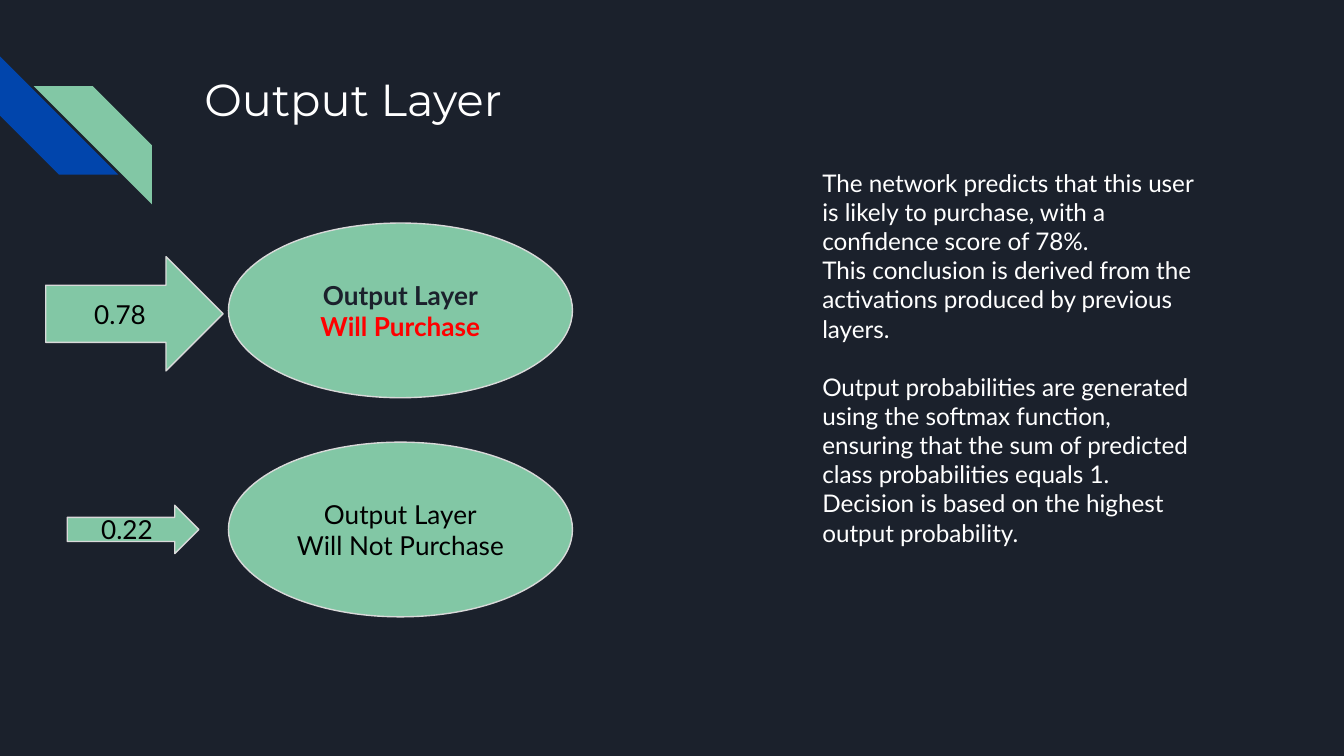
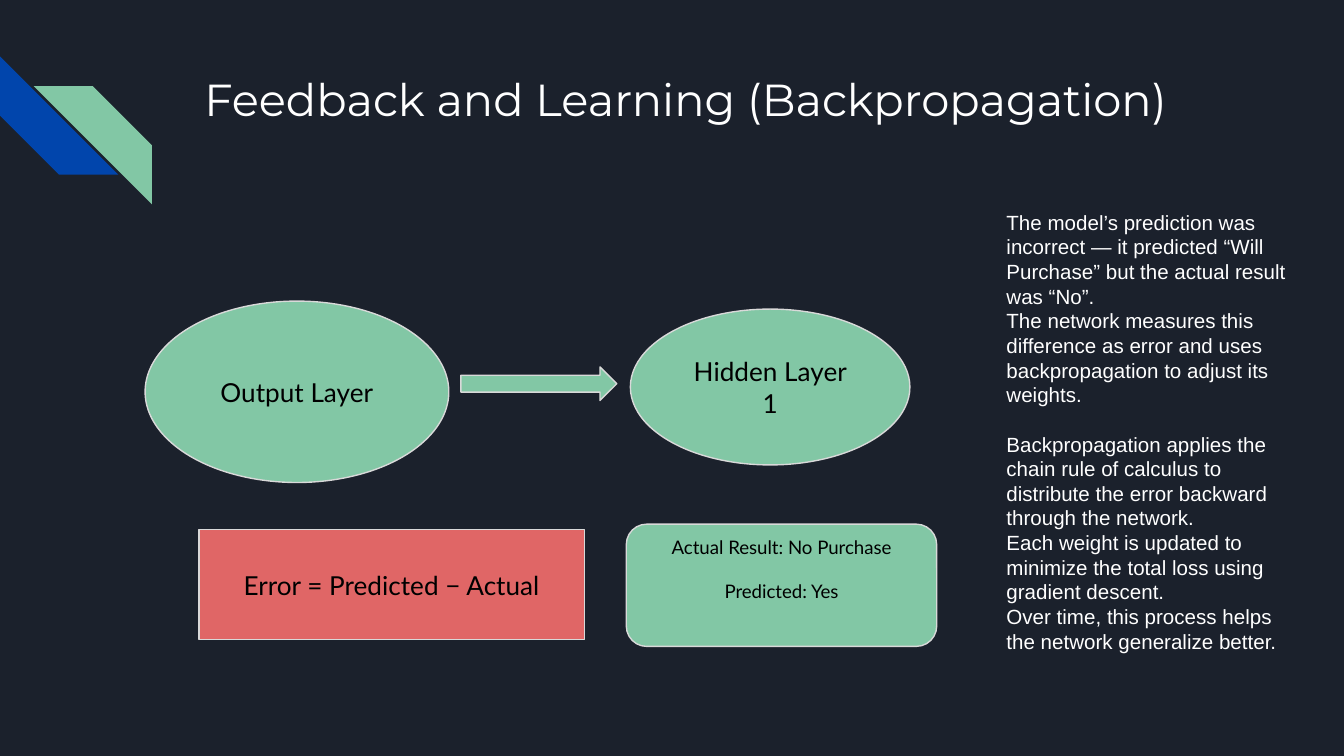
"""Build two slides on a network's output layer and its backpropagation."""
from dataclasses import dataclass

from pptx import Presentation
from pptx.dml.color import RGBColor
from pptx.enum.shapes import MSO_SHAPE
from pptx.enum.text import MSO_ANCHOR, MSO_AUTO_SIZE, PP_ALIGN
from pptx.presentation import Presentation as Deck
from pptx.slide import Slide
from pptx.text.text import TextFrame
from pptx.util import Inches, Pt

ELLIPSE = MSO_SHAPE.OVAL
ARROW = MSO_SHAPE.RIGHT_ARROW
RECTANGLE = MSO_SHAPE.RECTANGLE
ROUNDED = MSO_SHAPE.ROUNDED_RECTANGLE
STRIPE = MSO_SHAPE.DIAGONAL_STRIPE
TOP, MIDDLE = MSO_ANCHOR.TOP, MSO_ANCHOR.MIDDLE
LEFT, CENTER = PP_ALIGN.LEFT, PP_ALIGN.CENTER
NO_AUTOFIT = MSO_AUTO_SIZE.NONE
TITLE_ONLY = 5

COLORS = {
    "night": "1B212C",
    "blue": "0145AC",
    "green": "82C7A5",
    "coral": "E06666",
    "outline": "D9D9D9",
    "white": "FFFFFF",
    "black": "000000",
    "red": "FF0000",
}
BODY_FONT = "Lato"
TITLE_FONT = "Montserrat"
Box = tuple[float, float, float, float]


@dataclass(frozen=True)
class Line:
    """One paragraph with its own emphasis and the gap after it in points."""

    text: str
    color: str | None = None
    bold: bool = False
    gap: float = 0


@dataclass(frozen=True)
class Node:
    """One filled and outlined part of a diagram."""

    kind: MSO_SHAPE
    box: Box
    lines: tuple[Line, ...] = ()
    fill: str = "green"
    size: float = 14
    anchor: MSO_ANCHOR = MIDDLE
    top_inset: float = 0.1


@dataclass(frozen=True)
class Explanation:
    """The running text beside a diagram."""

    box: Box
    lines: tuple[Line, ...]
    size: float
    font: str = BODY_FONT


@dataclass(frozen=True)
class Page:
    """The content of one slide."""

    title: str
    nodes: tuple[Node, ...]
    explanation: Explanation


@dataclass(frozen=True)
class Stripe:
    """One diagonal stripe of the corner ornament."""

    box: Box
    color: str
    rotation: float


STRIPES = (
    Stripe((0, 0.42, 0.88, 0.88), "blue", 270),
    Stripe((0.25, 0.64, 0.88, 0.88), "green", 90),
)

PAGES = (
    Page(
        "Output Layer",
        (
            Node(ELLIPSE, (1.7, 1.66, 2.56, 1.3), (
                Line("Output Layer", "night", True),
                Line("Will Purchase", "red", True),
            )),
            Node(ELLIPSE, (1.7, 3.29, 2.56, 1.3), (
                Line("Output Layer"),
                Line("Will Not Purchase"),
            )),
            Node(ARROW, (0.34, 1.91, 1.32, 0.85), (Line("0.78"),)),
            Node(ARROW, (0.5, 3.76, 0.98, 0.36), (Line("0.22"),)),
        ),
        Explanation((6.02, 1.15, 3.09, 3.58), (
            Line("The network predicts that this user is likely to purchase, "
                 "with a confidence score of 78%."),
            Line("This conclusion is derived from the activations produced by "
                 "previous layers.", gap=15.6),
            Line("Output probabilities are generated using the softmax function,"),
            Line("ensuring that the sum of predicted class probabilities equals 1."),
            Line("Decision is based on the highest output probability."),
        ), 13),
    ),
    Page(
        "Feedback and Learning (Backpropagation)",
        (
            Node(ELLIPSE, (1.08, 2.24, 2.26, 1.35), (Line("Output Layer"),)),
            Node(ELLIPSE, (4.69, 2.3, 2.08, 1.16), (Line("Hidden Layer 1"),)),
            Node(ARROW, (3.43, 2.73, 1.16, 0.25)),
            Node(RECTANGLE, (1.48, 3.94, 2.87, 0.82),
                 (Line("Error = Predicted − Actual"),), "coral"),
            Node(ROUNDED, (4.66, 3.9, 2.31, 0.91), (
                Line("Actual Result: No Purchase", gap=12),
                Line("Predicted: Yes"),
            ), size=10, anchor=TOP, top_inset=0.04),
        ),
        Explanation((7.39, 1.46, 2.31, 3.83), (
            Line("The model’s prediction was incorrect — it predicted “Will "
                 "Purchase” but the actual result was “No”."),
            Line("The network measures this difference as error and uses "
                 "backpropagation to adjust its weights.", gap=13.2),
            Line("Backpropagation applies the chain rule of calculus to "
                 "distribute the error backward through the network."),
            Line("Each weight is updated to minimize the total loss using "
                 "gradient descent."),
            Line("Over time, this process helps the network generalize better."),
        ), 11, "Arial"),
    ),
)


def rgb(name: str) -> RGBColor:
    """Return the named colour."""
    return RGBColor.from_string(COLORS[name])


def inches(box: Box) -> list[Inches]:
    """Convert left, top, width and height to lengths."""
    return [Inches(value) for value in box]


def write_text(
    frame: TextFrame,
    lines: tuple[Line, ...],
    *,
    size: float,
    font: str = BODY_FONT,
    color: str = "white",
    align: PP_ALIGN = LEFT,
    anchor: MSO_ANCHOR = TOP,
    top_inset: float = 0.1,
) -> None:
    """Fill a text frame with formatted paragraphs."""
    frame.word_wrap = True
    frame.auto_size = NO_AUTOFIT
    frame.vertical_anchor = anchor
    frame.margin_left = frame.margin_right = frame.margin_bottom = Inches(0.1)
    frame.margin_top = Inches(top_inset)
    for index, line in enumerate(lines):
        paragraph = frame.add_paragraph() if index else frame.paragraphs[0]
        paragraph.alignment = align
        paragraph.line_spacing = 1.0
        paragraph.space_before = Pt(0)
        paragraph.space_after = Pt(line.gap)
        run = paragraph.add_run()
        run.text = line.text
        run.font.name = font
        run.font.size = Pt(size)
        run.font.bold = line.bold
        run.font.color.rgb = rgb(line.color or color)


def draw_stripe(slide: Slide, stripe: Stripe) -> None:
    """Draw one stripe of the corner ornament."""
    band = slide.shapes.add_shape(STRIPE, *inches(stripe.box))
    band.shadow.inherit = False
    band.rotation = stripe.rotation
    band.fill.solid()
    band.fill.fore_color.rgb = rgb(stripe.color)
    band.line.fill.background()


def draw_title(slide: Slide, text: str) -> None:
    """Place and format the slide title."""
    title = slide.shapes.title
    title.left, title.top, title.width, title.height = inches((1.42, 0.43, 7.7, 1))
    write_text(title.text_frame, (Line(text),), size=24, font=TITLE_FONT)


def draw_node(slide: Slide, node: Node) -> None:
    """Draw one diagram part with its label."""
    part = slide.shapes.add_shape(node.kind, *inches(node.box))
    part.shadow.inherit = False
    part.fill.solid()
    part.fill.fore_color.rgb = rgb(node.fill)
    part.line.color.rgb = rgb("outline")
    part.line.width = Pt(0.75)
    write_text(part.text_frame, node.lines, size=node.size, color="black",
               align=CENTER, anchor=node.anchor, top_inset=node.top_inset)


def draw_explanation(slide: Slide, explanation: Explanation) -> None:
    """Write the running text beside the diagram."""
    column = slide.shapes.add_textbox(*inches(explanation.box))
    write_text(column.text_frame, explanation.lines, size=explanation.size,
               font=explanation.font)


def add_page(deck: Deck, page: Page) -> None:
    """Add one slide with its ornament, title, diagram and text."""
    slide = deck.slides.add_slide(deck.slide_layouts[TITLE_ONLY])
    for stripe in STRIPES:
        draw_stripe(slide, stripe)
    draw_title(slide, page.title)
    for node in page.nodes:
        draw_node(slide, node)
    draw_explanation(slide, page.explanation)


def main() -> None:
    """Build and save the deck."""
    deck = Presentation()
    deck.slide_width = Inches(10)
    deck.slide_height = deck.slide_width * 9 // 16
    backdrop = deck.slide_master.background.fill
    backdrop.solid()
    backdrop.fore_color.rgb = rgb("night")
    for page in PAGES:
        add_page(deck, page)
    deck.save("out.pptx")


if __name__ == "__main__":
    main()
